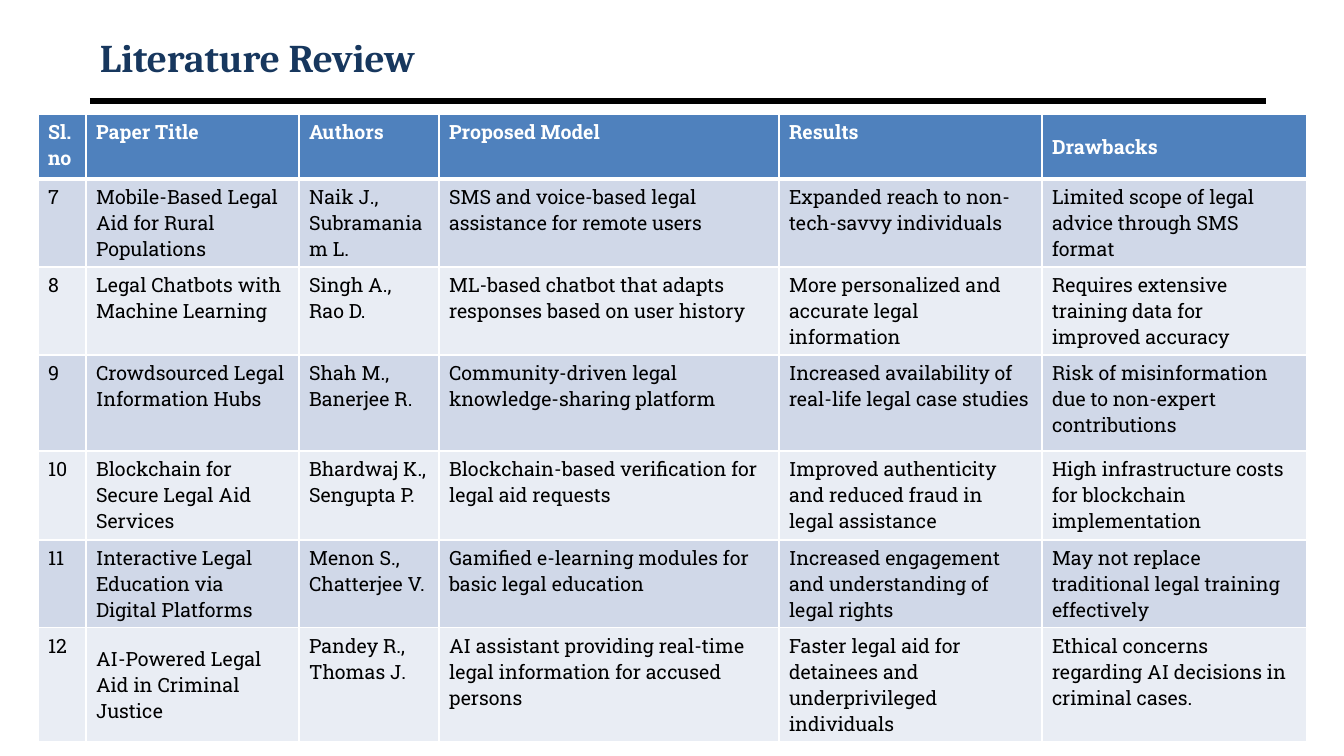
from lxml import etree
from pptx import Presentation, util as u
from pptx.dml.color import RGBColor
from pptx.enum import shapes, text
from pptx.oxml.ns import qn

PX = 914400 / 100.8
WHITE, BLACK, NAVY, BLUE = "FFFFFF", "000000", "17375E", "4F81BD"
BANDS = ["D0D8E8", "E9EDF4"]

COLUMN_WIDTHS = [48, 213, 140, 340, 263, 265]
ROW_HEIGHTS = [65, 88, 88, 96, 89, 88, 114]
PAPERS = [
    ["Sl.no", "Paper Title", "Authors", "Proposed Model", "Results", "Drawbacks"],
    ["7", "Mobile-Based Legal Aid for Rural Populations", "Naik J., Subramaniam L.",
     "SMS and voice-based legal assistance for remote users",
     "Expanded reach to non-tech-savvy individuals",
     "Limited scope of legal advice through SMS format"],
    ["8", "Legal Chatbots with Machine Learning", "Singh A., Rao D.",
     "ML-based chatbot that adapts responses based on user history",
     "More personalized and accurate legal information",
     "Requires extensive training data for improved accuracy"],
    ["9", "Crowdsourced Legal Information Hubs", "Shah M., Banerjee R.",
     "Community-driven legal knowledge-sharing platform",
     "Increased availability of real-life legal case studies",
     "Risk of misinformation due to non-expert contributions"],
    ["10", "Blockchain for Secure Legal Aid Services", "Bhardwaj K., Sengupta P.",
     "Blockchain-based verification for legal aid requests",
     "Improved authenticity and reduced fraud in legal assistance",
     "High infrastructure costs for blockchain implementation"],
    ["11", "Interactive Legal Education via Digital Platforms", "Menon S., Chatterjee V.",
     "Gamified e-learning modules for basic legal education",
     "Increased engagement and understanding of legal rights",
     "May not replace traditional legal training effectively"],
    ["12", "AI-Powered Legal Aid in Criminal Justice", "Pandey R., Thomas J.",
     "AI assistant providing real-time legal information for accused persons",
     "Faster legal aid for detainees and underprivileged individuals",
     "Ethical concerns regarding AI decisions in criminal cases."],
]
MIDDLE_CELLS = {(0, 5), (6, 1)}


def px(length):
    return u.Emu(round(length * PX))


def color(code):
    return RGBColor.from_string(code)


class Slide:
    title_font = "Cambria"
    body_font = "Roboto Slab"

    def __init__(self, page):
        self.page = page

    def style(self, frame, font, size, code, bold):
        for para in frame.paragraphs:
            for span in para.runs:
                span.font.name = font
                span.font.size = u.Pt(size)
                span.font.bold = bold
                span.font.color.rgb = color(code)

    def title(self, words, left, top, width, height):
        box = self.page.shapes.add_textbox(px(left), px(top), px(width), px(height))
        frame = box.text_frame
        frame.word_wrap = True
        frame.vertical_anchor = text.MSO_ANCHOR.MIDDLE
        frame.text = words
        self.style(frame, self.title_font, 28, NAVY, True)

    def rule(self, left, right, y, weight):
        line = self.page.shapes.add_connector(
            shapes.MSO_CONNECTOR.STRAIGHT, px(left), px(y), px(right), px(y))
        line.line.color.rgb = color(BLACK)
        line.line.width = u.Pt(weight)
        etree.SubElement(line.element.spPr, qn("a:effectLst"))

    def borders(self, cell, top, bottom):
        properties = cell._tc.get_or_add_tcPr()
        widths = {"a:lnL": 1, "a:lnR": 1, "a:lnT": top, "a:lnB": bottom}
        for place, (tag, points) in enumerate(widths.items()):
            edge = etree.Element(qn(tag), w=str(u.Pt(points)))
            fill = etree.SubElement(edge, qn("a:solidFill"))
            etree.SubElement(fill, qn("a:srgbClr"), val=WHITE)
            properties.insert(place, edge)

    def table(self, left, top, widths, heights, rows):
        grid = self.page.shapes.add_table(
            len(rows), len(widths), px(left), px(top),
            px(sum(widths)), px(sum(heights))).table
        for column, width in zip(grid.columns, widths):
            column.width = px(width)
        for r, (row, height) in enumerate(zip(rows, heights)):
            grid.rows[r].height = px(height)
            header = r == 0
            for c, words in enumerate(row):
                cell = grid.cell(r, c)
                cell.text_frame.text = words
                self.style(cell.text_frame, self.body_font, 14,
                           WHITE if header else BLACK, header)
                if (r, c) in MIDDLE_CELLS:
                    cell.vertical_anchor = text.MSO_ANCHOR.MIDDLE
                cell.fill.solid()
                cell.fill.fore_color.rgb = color(BLUE if header else BANDS[(r - 1) % 2])
                self.borders(cell, 3 if r == 1 else 1, 3 if header else 1)


def main():
    deck = Presentation()
    deck.slide_width, deck.slide_height = px(1344), px(756)
    slide = Slide(deck.slides.add_slide(deck.slide_layouts[6]))

    # Heading with its rule
    slide.rule(90, 1266, 101, 4.5)
    slide.title("Literature Review", 90, 30, 1176, 53)

    # Reviewed papers
    slide.table(38, 114, COLUMN_WIDTHS, ROW_HEIGHTS, PAPERS)

    deck.save("out.pptx")


if __name__ == "__main__":
    main()
